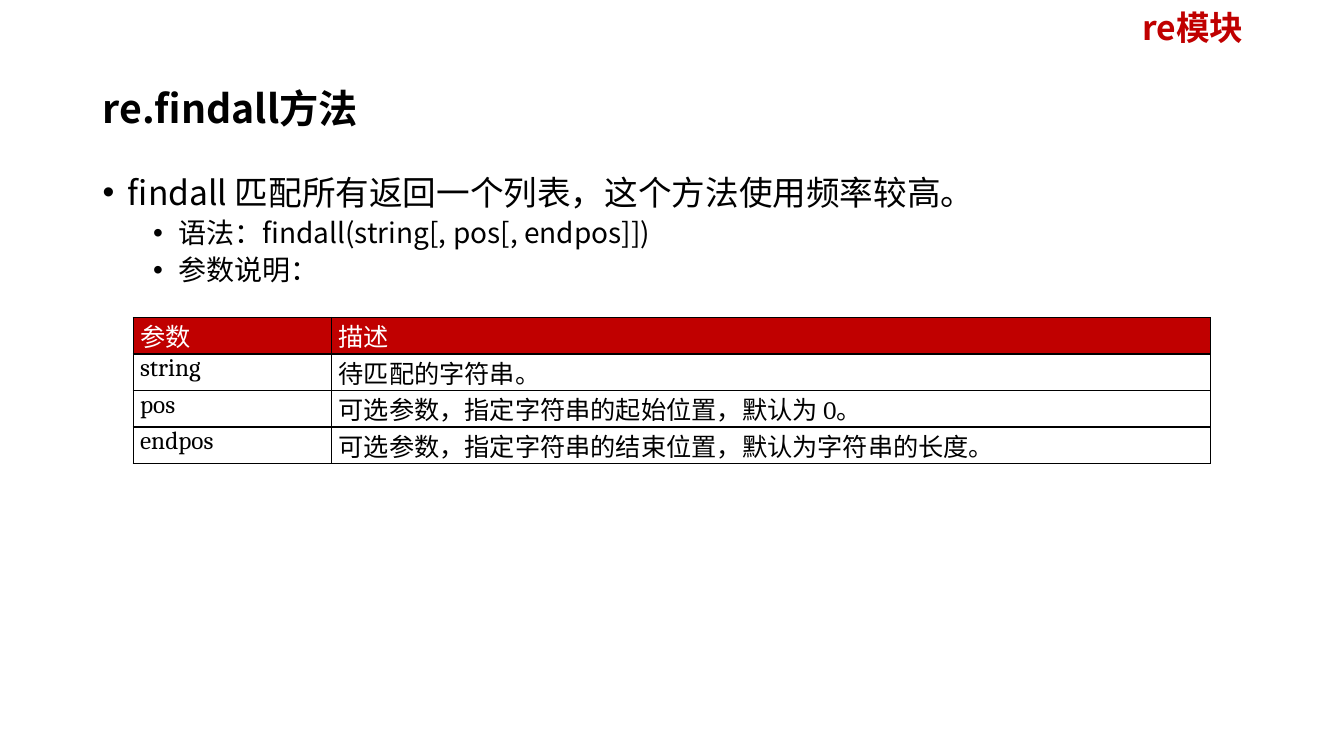
from lxml import etree
from pptx import Presentation
from pptx import util as u
from pptx.dml.color import RGBColor
from pptx.enum import text
from pptx.oxml import ns

BLACK = RGBColor(0, 0, 0)
WHITE = RGBColor(255, 255, 255)
RED = RGBColor(0xC0, 0, 0)
SANS, SERIF = "Noto Sans CJK SC", "Cambria"

ROWS = [
    ("参数", "描述"),
    ("string", "待匹配的字符串。"),
    ("pos", "可选参数，指定字符串的起始位置，默认为 0。"),
    ("endpos", "可选参数，指定字符串的结束位置，默认为字符串的长度。"),
]
BULLETS = [
    (0, "findall 匹配所有返回一个列表，这个方法使用频率较高。"),
    (1, "语法：findall(string[, pos[, endpos]])"),
    (1, "参数说明："),
]


def set_attrs(obj, formats):
    for name, value in formats.items():
        setattr(obj, name, value)


def write(p, content, size, color=BLACK, bold=False, latin=SANS, **paragraph):
    """Fill a paragraph with one run, using SANS for East Asian letters."""
    set_attrs(p, paragraph)
    r = p.add_run()
    r.text = content
    set_attrs(r.font, {"name": latin, "size": u.Pt(size), "bold": bold})
    r.font.color.rgb = color
    rpr = r.font._element
    ea = etree.Element(ns.qn("a:ea"), typeface=SANS)
    rpr.find(ns.qn("a:latin")).addnext(ea)


def add_text_box(s, box, anchor):
    sp = s.shapes.add_textbox(*map(u.Inches, box))
    set_attrs(sp.text_frame, {"word_wrap": True, "vertical_anchor": anchor})
    return sp.text_frame


def add_title(s, box):
    sp = s.shapes.title
    sp.left, sp.top, sp.width, sp.height = map(u.Inches, box)
    tf = sp.text_frame
    set_attrs(tf, {"word_wrap": True, "vertical_anchor": text.MSO_ANCHOR.MIDDLE})
    write(tf.paragraphs[0], "re.findall方法", 28, bold=True,
          alignment=text.PP_ALIGN.LEFT, line_spacing=0.9)


def add_module_label(s, box):
    tf = add_text_box(s, box, text.MSO_ANCHOR.MIDDLE)
    write(tf.paragraphs[0], "re模块", 24, RED, True,
          alignment=text.PP_ALIGN.RIGHT, line_spacing=0.9, space_before=u.Pt(10))


def add_bullets(s, box):
    tf = add_text_box(s, box, text.MSO_ANCHOR.TOP)
    for i, (level, content) in enumerate(BULLETS):
        p = tf.add_paragraph() if i else tf.paragraphs[0]
        write(p, content, 20 if level else 24, level=level, line_spacing=0.9,
              space_before=u.Pt(5 if level else 10))
        # Hanging bullet
        ppr = p._p.get_or_add_pPr()
        ppr.set("marL", str(u.Inches(0.25 + 0.5 * level)))
        ppr.set("indent", str(u.Inches(-0.25)))
        etree.SubElement(ppr, ns.qn("a:buFont"), typeface="Arial")
        etree.SubElement(ppr, ns.qn("a:buChar"), char="•")


def add_borders(cell):
    tcpr = cell._tc.get_or_add_tcPr()
    for i, side in enumerate(("lnL", "lnR", "lnT", "lnB")):
        ln = etree.Element(ns.qn("a:" + side), w=str(u.Pt(1)))
        fill = etree.SubElement(ln, ns.qn("a:solidFill"))
        etree.SubElement(fill, ns.qn("a:srgbClr"), val=str(BLACK))
        tcpr.insert(i, ln)


def add_parameter_table(s, box):
    left, top, width, height = map(u.Inches, box)
    table = s.shapes.add_table(len(ROWS), 2, left, top, width, height).table
    set_attrs(table, {"first_row": False, "horz_banding": False})
    table.columns[0].width = u.Inches(1.97)
    table.columns[1].width = width - u.Inches(1.97)
    for i, row in enumerate(ROWS):
        header = i == 0
        for j, content in enumerate(row):
            cell = table.cell(i, j)
            set_attrs(cell, {
                "margin_left": u.Inches(0.07), "margin_right": u.Inches(0.07),
                "margin_top": 0, "margin_bottom": 0,
                "vertical_anchor": text.MSO_ANCHOR.BOTTOM if header else text.MSO_ANCHOR.TOP,
            })
            if header:
                cell.fill.solid()
                cell.fill.fore_color.rgb = RED
            else:
                cell.fill.background()
            write(cell.text_frame.paragraphs[0], content, 18, WHITE if header else BLACK,
                  latin=SANS if header else SERIF,
                  space_before=u.Pt(1.8), space_after=u.Pt(1.8))
            add_borders(cell)


def main():
    prs = Presentation()
    prs.slide_width, prs.slide_height = u.Inches(13.33), u.Inches(7.5)
    s = prs.slides.add_slide(prs.slide_layouts[5])
    add_bullets(s, (0.92, 1.7, 11.5, 5.06))
    add_title(s, (0.92, 0.59, 11.5, 1.01))
    add_module_label(s, (9.6, 0, 2.83, 0.59))
    add_parameter_table(s, (1.32, 3.15, 10.69, 1.45))
    prs.save("out.pptx")


if __name__ == "__main__":
    main()
